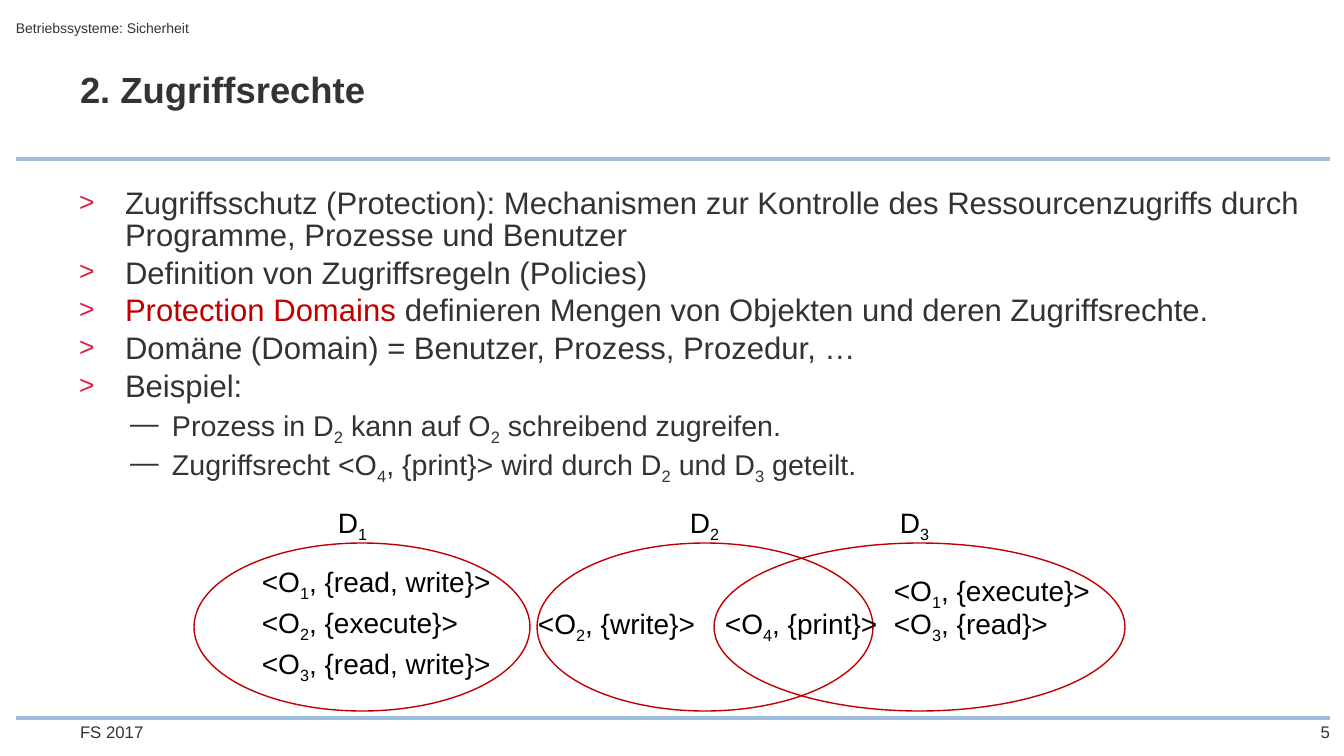
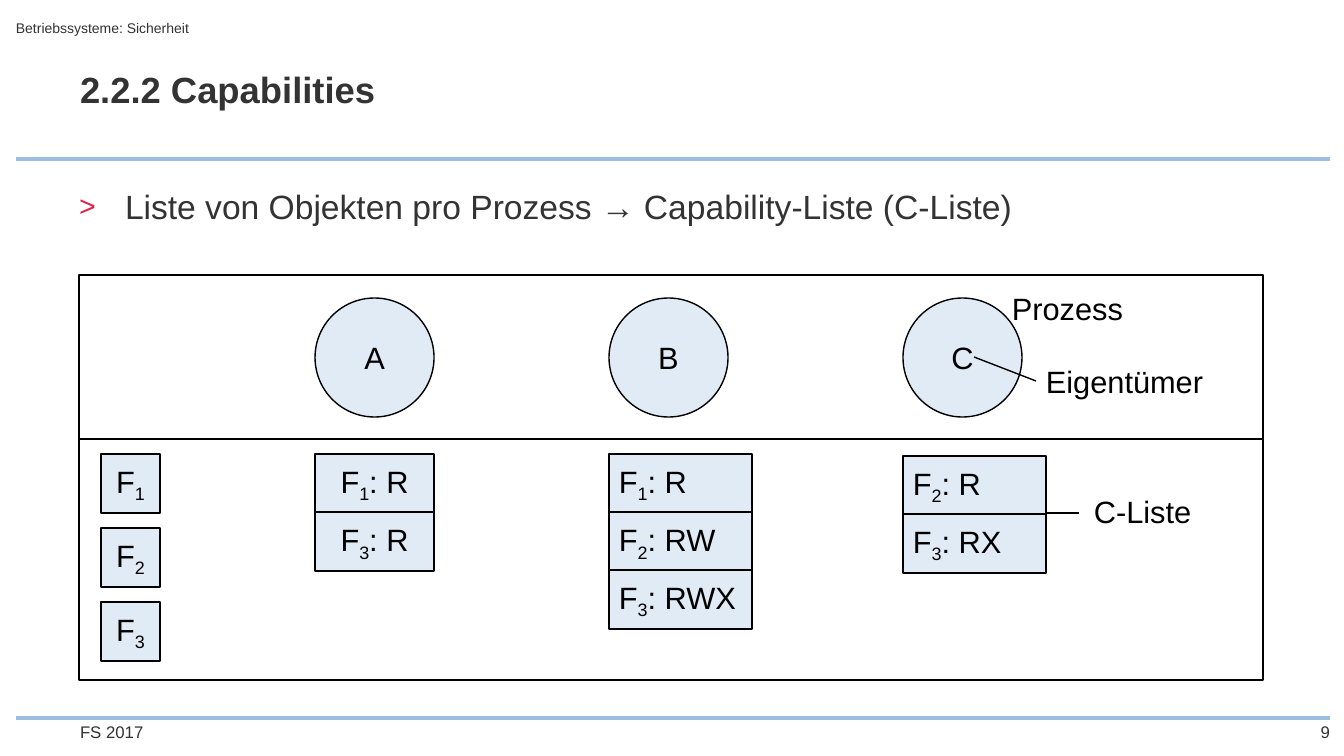
from lxml.etree import SubElement
from pptx import Presentation
from pptx.dml.color import RGBColor
from pptx.enum.shapes import MSO_CONNECTOR, MSO_SHAPE
from pptx.enum.text import MSO_ANCHOR as ANCHOR, MSO_AUTO_SIZE as AUTO_SIZE, PP_ALIGN as ALIGN
from pptx.oxml.ns import qn
from pptx.util import Pt

PX = 12192000 / 1344
FONT = "Arial"
TEXT = "333333"
BLACK = "000000"
RED = "C00000"
BULLET = "DF2046"
BAND = "9CBDDE"
PALE = "E1EBF5"
NO_INSETS = dict(margin_left=0, margin_right=0, margin_top=0, margin_bottom=0)
color_of = RGBColor.from_string


def write(paragraph, text, size, color=BLACK, bold=False):
    first, *marked = text.split("_")
    pieces = [(first, False)]
    for part in marked:
        pieces += [(part[0], True), (part[1:], False)]
    for piece, lowered in pieces:
        if piece:
            run = paragraph.add_run()
            run.text = piece
            for name, value in dict(name=FONT, size=Pt(size), bold=bold).items():
                setattr(run.font, name, value)
            run.font.color.rgb = color_of(color)
            if lowered:
                run.font._element.set("baseline", "-25000")


def draw(slide, kind, box, line, fill=None, text="", align=ALIGN.CENTER):
    shape = slide.shapes.add_shape(kind, *[round(length * PX) for length in box])
    shape.shadow.inherit = False
    shape.line.color.rgb = color_of(line)
    shape.line.width = Pt(1)
    if fill:
        shape.fill.solid()
        shape.fill.fore_color.rgb = color_of(fill)
    else:
        shape.fill.background()
    shape.text_frame.vertical_anchor = ANCHOR.MIDDLE
    paragraph = shape.text_frame.paragraphs[0]
    paragraph.alignment = align
    write(paragraph, text, 22)


presentation = Presentation()
presentation.slide_width = round(1344 * PX)
presentation.slide_height = round(756 * PX)

pages = [
    dict(
        title="2. Zugriffsrechte", number="5", body=(79, 184, 1229, 303), sizes=(22.2, 20.4), spacing=0.85,
        items=[
            (0, [("Zugriffsschutz (Protection): Mechanismen zur Kontrolle des Ressourcenzugriffs "
                  "durch Programme, Prozesse und Benutzer", TEXT)]),
            (0, [("Definition von Zugriffsregeln (Policies)", TEXT)]),
            (0, [("Protection Domains ", RED),
                 ("definieren Mengen von Objekten und deren Zugriffsrechte.", TEXT)]),
            (0, [("Domäne (Domain) = Benutzer, Prozess, Prozedur, …", TEXT)]),
            (0, [("Beispiel:", TEXT)]),
            (1, [("Prozess in D_2 kann auf O_2 schreibend zugreifen.", TEXT)]),
            (1, [("Zugriffsrecht <O_4, {print}> wird durch D_2 und D_3 geteilt.", TEXT)]),
        ],
        label_size=20,
        labels=[
            (252, 560, 252, "<O_1, {read, write}>"),
            (252, 601, 219, "<O_2, {execute}>"),
            (252, 642, 252, "<O_3, {read, write}>"),
            (528, 602, 179, "<O_2, {write}>"),
            (715, 602, 174, "<O_4, {print}>"),
            (884, 569, 219, "<O_1, {execute}>"),
            (884, 602, 176, "<O_3, {read}>"),
            (328, 501, 51, "D_1"),
            (680, 501, 51, "D_2"),
            (890, 501, 51, "D_3"),
        ],
    ),
    dict(
        title="2.2.2 Capabilities", number="9", body=(79, 184, 1184, 113), sizes=(24,), spacing=0.95,
        items=[(0, [("Liste von Objekten pro Prozess → Capability-Liste (C-Liste)", TEXT)])],
        label_size=22,
        labels=[
            (1002, 285, 133, "Prozess"),
            (1036, 358, 179, "Eigentümer"),
            (1084, 488, 119, "C-Liste"),
        ],
    ),
]
bullets = [
    dict(char=">", color=BULLET, percent="85000", left=46, hang=46),
    dict(char="—", color=TEXT, percent="100000", left=93, hang=42),
]

slides = []
for page in pages:
    slide = presentation.slides.add_slide(presentation.slide_layouts[1])
    slides.append(slide)
    title, body = slide.placeholders
    for shape, box, top_inset in [(title, (80, 72, 974, 90), 0), (body, page["body"], round(5 * PX))]:
        for name, length in zip(("left", "top", "width", "height"), box):
            setattr(shape, name, round(length * PX))
        frame_format = dict(NO_INSETS, margin_top=top_inset, auto_size=AUTO_SIZE.NONE,
                            word_wrap=True, vertical_anchor=ANCHOR.TOP)
        for name, value in frame_format.items():
            setattr(shape.text_frame, name, value)

    heading = title.text_frame.paragraphs[0]
    heading.alignment = ALIGN.LEFT
    heading.line_spacing = 0.9
    write(heading, page["title"], 26, TEXT, True)

    for index, (level, runs) in enumerate(page["items"]):
        paragraph = body.text_frame.add_paragraph() if index else body.text_frame.paragraphs[0]
        paragraph.level = level
        bullet = bullets[level]
        properties = paragraph._p.get_or_add_pPr()
        properties.set("marL", str(round(bullet["left"] * PX)))
        properties.set("indent", str(round(-bullet["hang"] * PX)))
        bullet_color = SubElement(properties, qn("a:buClr"))
        SubElement(bullet_color, qn("a:srgbClr"), val=bullet["color"])
        SubElement(properties, qn("a:buSzPct"), val=bullet["percent"])
        SubElement(properties, qn("a:buFont"), typeface=FONT)
        SubElement(properties, qn("a:buChar"), char=bullet["char"])
        paragraph.line_spacing = page["spacing"]
        if index == 0:
            paragraph.space_before = Pt(0)
        for text, color in runs:
            write(paragraph, text, page["sizes"][level], color)

    furniture = dict(NO_INSETS, word_wrap=True)
    growing = dict(word_wrap=False, auto_size=AUTO_SIZE.SHAPE_TO_FIT_TEXT)
    boxes = [
        ((80, 722, 560, 20), "FS 2017", 12, TEXT, ALIGN.LEFT, furniture),
        ((16, 20, 793, 28), "Betriebssysteme: Sicherheit", 10, TEXT, ALIGN.LEFT, furniture),
        ((1277, 722, 53, 20), page["number"], 12, TEXT, ALIGN.RIGHT, furniture),
    ]
    for left, top, width, text in page["labels"]:
        boxes.append(((left, top, width, 45), text, page["label_size"], BLACK, ALIGN.LEFT, growing))
    if page is pages[1]:
        for top, height in [(275, 164), (439, 241)]:
            draw(slide, MSO_SHAPE.RECTANGLE, (79, top, 1184, height), BLACK)
        for row in range(3):
            draw(slide, MSO_SHAPE.RECTANGLE, (101, 454 + 74 * row, 59, 59), BLACK, PALE, f"F_{row + 1}")
        capability_lists = [
            ("A", 454, 119, ALIGN.CENTER, ["F_1: R", "F_3: R"]),
            ("B", 454, 143, ALIGN.LEFT, ["F_1: R", "F_2: RW", "F_3: RWX"]),
            ("C", 456, 143, ALIGN.LEFT, ["F_2: R", "F_3: RX"]),
        ]
        for column, (process, top, width, align, entries) in enumerate(capability_lists):
            left = 315 + 294 * column
            draw(slide, MSO_SHAPE.OVAL, (left, 298, 119, 119), BLACK, PALE, process)
            for row, entry in enumerate(entries):
                draw(slide, MSO_SHAPE.RECTANGLE, (left, top + 58 * row, width, 59), BLACK, PALE, entry, align)
    else:
        for left, width in [(194, 336), (537, 336), (714, 411)]:
            draw(slide, MSO_SHAPE.OVAL, (left, 543, width, 168), RED)

    for box, text, size, color, align, frame_format in boxes:
        text_box = slide.shapes.add_textbox(*[round(length * PX) for length in box])
        for name, value in frame_format.items():
            setattr(text_box.text_frame, name, value)
        paragraph = text_box.text_frame.paragraphs[0]
        paragraph.alignment = align
        write(paragraph, text, size, color)

lines = [
    ((16, 159, 1330, 159), BAND, 3, True),
    ((16, 718, 1330, 718), BAND, 3, True),
    ((974, 357, 1036, 381), BLACK, 1, False),
    ((1045, 513, 1079, 513), BLACK, 1, False),
]
for ends, color, width, shared in lines:
    connector = slides[1].shapes.add_connector(MSO_CONNECTOR.STRAIGHT, *[round(length * PX) for length in ends])
    connector.line.color.rgb = color_of(color)
    connector.line.width = Pt(width)
    SubElement(connector.element.spPr, qn("a:effectLst"))
    if shared:
        presentation.slide_master.shapes.element.append(connector.element)

presentation.save("out.pptx")
